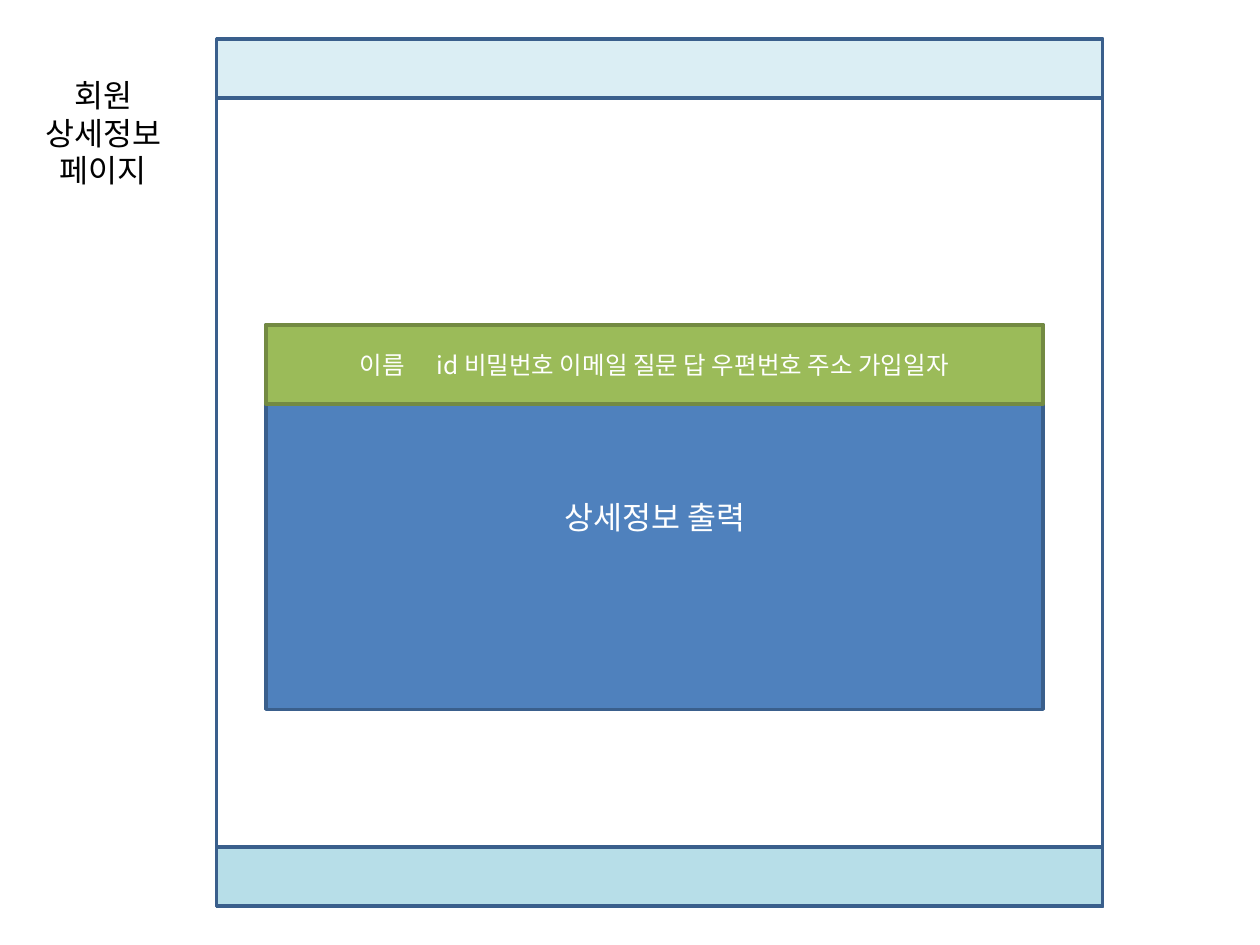
import pptx
import pptx.util
import pptx.dml.color
import pptx.enum.shapes
import pptx.enum.text
import lxml.etree
from pptx.util import Cm, Pt

FONT = "Noto Sans CJK KR"
COLORS = {
    "white": "FFFFFF", "black": "000000", "header": "DBEEF4", "footer": "B7DEE8",
    "blue": "4F81BD", "blue_line": "3A5F8C", "green": "9BBB59", "green_line": "738A42",
}


def rgb(name):
    return pptx.dml.color.RGBColor.from_string(COLORS[name])


def format_paragraph(p, size, color):
    p.alignment = pptx.enum.text.PP_ALIGN.CENTER
    p.font.size = Pt(size)
    p.font.color.rgb = rgb(color)
    p.font.name = FONT
    # East Asian typeface for the Korean text
    props = p._p.get_or_add_pPr().get_or_add_defRPr()
    ea = lxml.etree.SubElement(props, pptx.oxml.ns.qn("a:ea"))
    ea.set("typeface", FONT)


prs = pptx.Presentation()
prs.slide_width, prs.slide_height = Cm(25.4), Cm(19.05)
s = prs.slides.add_slide(prs.slide_layouts[5])

# Page frame with header and footer bars, then the detail panel and its heading
page_x, page_y, page_w, page_h, bar_h = 4.37, 0.79, 17.86, 17.48, 1.19
panel_x, panel_y, panel_w = 5.36, 6.55, 15.67
boxes = [
    (page_x, page_y, page_w, page_h, "white", "blue_line", [], 18),
    (page_x, page_y, page_w, bar_h, "header", "blue_line", [], 18),
    (page_x, page_y + page_h - bar_h, page_w, bar_h, "footer", "blue_line", [], 18),
    (panel_x, panel_y, panel_w, 7.75, "blue", "blue_line", ["상세정보 출력"], 18),
    (panel_x, panel_y, panel_w, 1.6, "green", "green_line",
     ["이름", " ", "id 비밀번호 이메일 질문 답 우편번호 주소 가입일자"], 14),
]
for x, y, w, h, fill, line, runs, size in boxes:
    sp = s.shapes.add_shape(pptx.enum.shapes.MSO_SHAPE.RECTANGLE, Cm(x), Cm(y), Cm(w), Cm(h))
    sp.shadow.inherit = False
    sp.fill.solid()
    sp.fill.fore_color.rgb = rgb(fill)
    sp.line.color.rgb = rgb(line)
    sp.line.width = Pt(2)
    if runs:
        tf = sp.text_frame
        tf.vertical_anchor = pptx.enum.text.MSO_ANCHOR.MIDDLE
        p = tf.paragraphs[0]
        format_paragraph(p, size, "white")
        for text in runs:
            r = p.add_run()
            r.text = text
            if text == " ":  # wide gap after the first column name
                r._r.get_or_add_rPr().set("spc", "1500")

# Page name
title = s.shapes.title
title.left, title.top, title.width, title.height = Cm(0), Cm(1.4), Cm(4.17), Cm(2.57)
tf = title.text_frame
tf.word_wrap = True
tf.auto_size = pptx.enum.text.MSO_AUTO_SIZE.SHAPE_TO_FIT_TEXT
tf.vertical_anchor = pptx.enum.text.MSO_ANCHOR.TOP
tf.text = "회원\n상세정보\n페이지"
for p in tf.paragraphs:
    format_paragraph(p, 18, "black")

prs.save("out.pptx")
